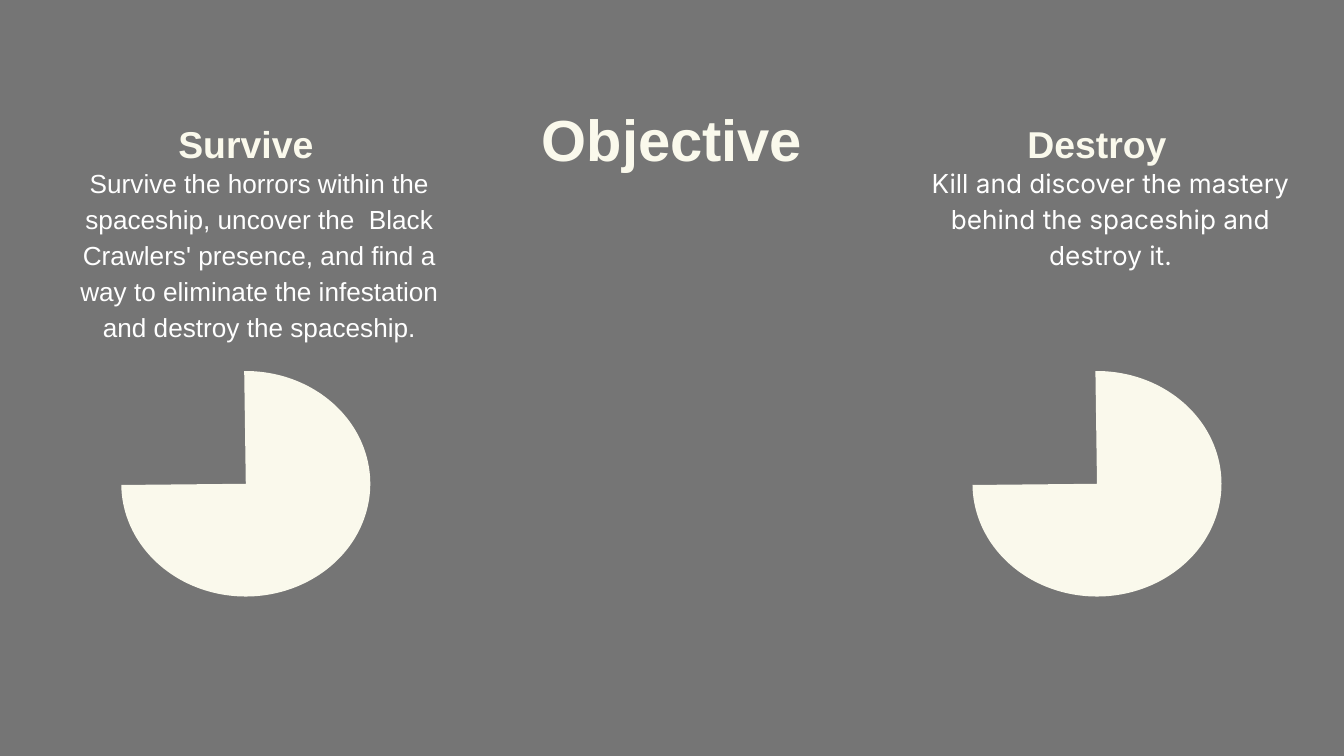
import pptx
import pptx.util
import pptx.dml.color
import pptx.enum.shapes
import pptx.enum.text

Pt = pptx.util.Pt
RGBColor = pptx.dml.color.RGBColor
ANCHOR = pptx.enum.text.MSO_ANCHOR

GRAY = RGBColor(0x75, 0x75, 0x75)
CREAM = RGBColor(0xFA, 0xF9, 0xEC)
WHITE = RGBColor(0xFF, 0xFF, 0xFF)

INSET = 7.2
COLUMN_WIDTH = 243.4

# Left edge, heading, body text and body font of each column
COLUMNS = [
    (10, "Survive",
     "Survive the horrors within the spaceship, uncover the  Black Crawlers' "
     "presence, and find a way to eliminate the infestation and destroy the "
     "spaceship.", "Arial"),
    (466, "Destroy",
     "Kill and discover the mastery behind the spaceship and destroy it.",
     "Inter"),
]


def place(shape, left, top, width, height):
    shape.left, shape.top = Pt(left), Pt(top)
    shape.width, shape.height = Pt(width), Pt(height)


def write_text(shape, text, size, color, font="Arial", bold=False,
               anchor=ANCHOR.TOP, left_inset=INSET):
    frame = shape.text_frame
    frame.text = text
    frame.word_wrap = True
    frame.auto_size = pptx.enum.text.MSO_AUTO_SIZE.NONE
    frame.vertical_anchor = anchor
    frame.margin_left = Pt(left_inset)
    frame.margin_top = frame.margin_right = frame.margin_bottom = Pt(INSET)
    paragraph = frame.paragraphs[0]
    paragraph.alignment = pptx.enum.text.PP_ALIGN.CENTER
    paragraph.line_spacing = 1.15
    run_font = paragraph.runs[0].font
    run_font.name = font
    run_font.size = Pt(size)
    run_font.bold = bold
    run_font.color.rgb = color


def add_text(shapes, left, top, width, height, *content, **style):
    box = shapes.add_textbox(Pt(left), Pt(top), Pt(width), Pt(height))
    write_text(box, *content, **style)


def add_pie(shapes, left, top, width, height):
    pie = shapes.add_shape(pptx.enum.shapes.MSO_SHAPE.PIE,
                           Pt(left), Pt(top), Pt(width), Pt(height))
    pie.adjustments[0] = 161.52
    pie.adjustments[1] = 107.66
    pie.fill.solid()
    pie.fill.fore_color.rgb = CREAM
    pie.line.fill.background()
    pie.shadow.inherit = False


def add_column(slide, left, heading, body, body_font):
    shapes = slide.shapes.add_group_shape().shapes
    add_text(shapes, left, 80, COLUMN_WIDTH, 99.4, body, 14, WHITE,
             font=body_font, left_inset=21.6)
    add_text(shapes, left, 42.5, COLUMN_WIDTH, 53.5, heading, 20, CREAM,
             bold=True, anchor=ANCHOR.BOTTOM)
    add_pie(shapes, left + 55, 198.8, 133.4, 120.8)


def main():
    presentation = pptx.Presentation()
    presentation.slide_width, presentation.slide_height = Pt(720), Pt(405)
    slide = presentation.slides.add_slide(presentation.slide_layouts[5])

    # Background
    slide.background.fill.solid()
    slide.background.fill.fore_color.rgb = GRAY

    # Title
    title = slide.shapes.title
    place(title, 56.7, 42.5, 606.6, 49.6)
    write_text(title, "Objective", 31, CREAM, bold=True)

    # Objective columns
    for column in COLUMNS:
        add_column(slide, *column)

    presentation.save("out.pptx")


if __name__ == "__main__":
    main()
